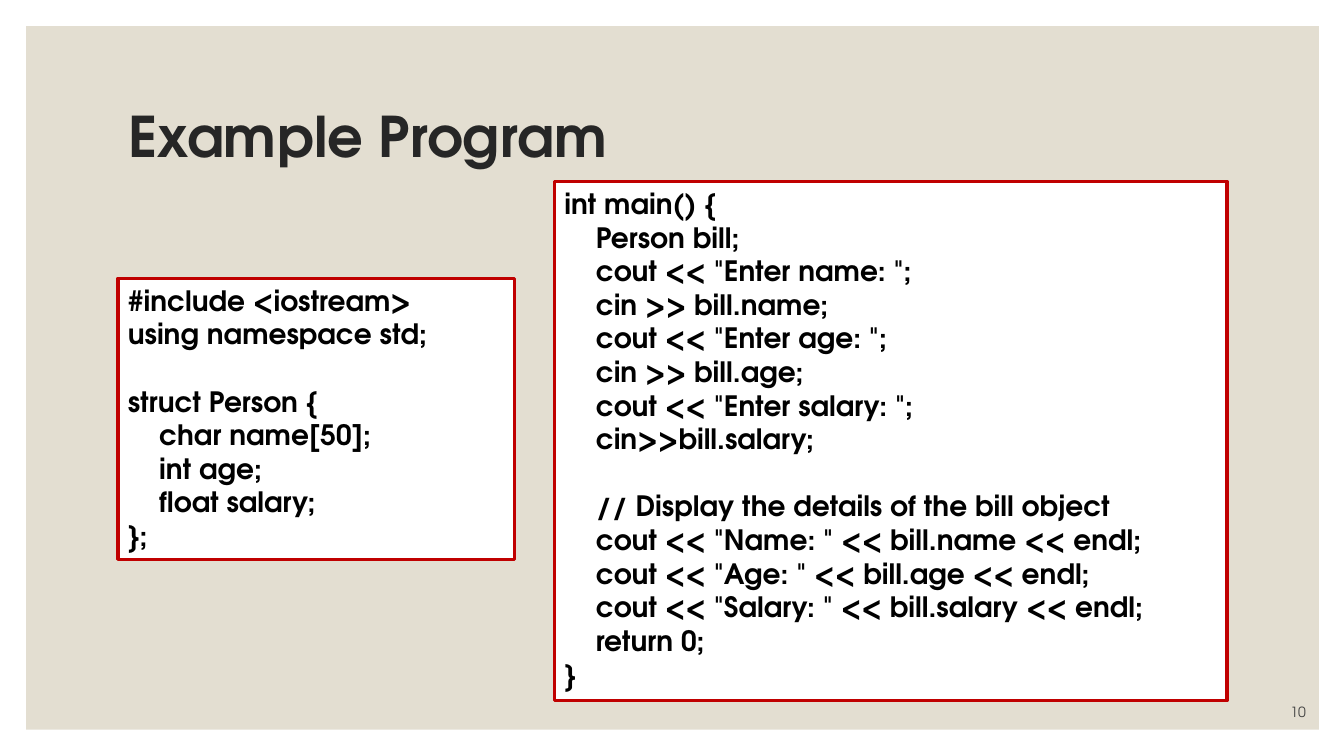
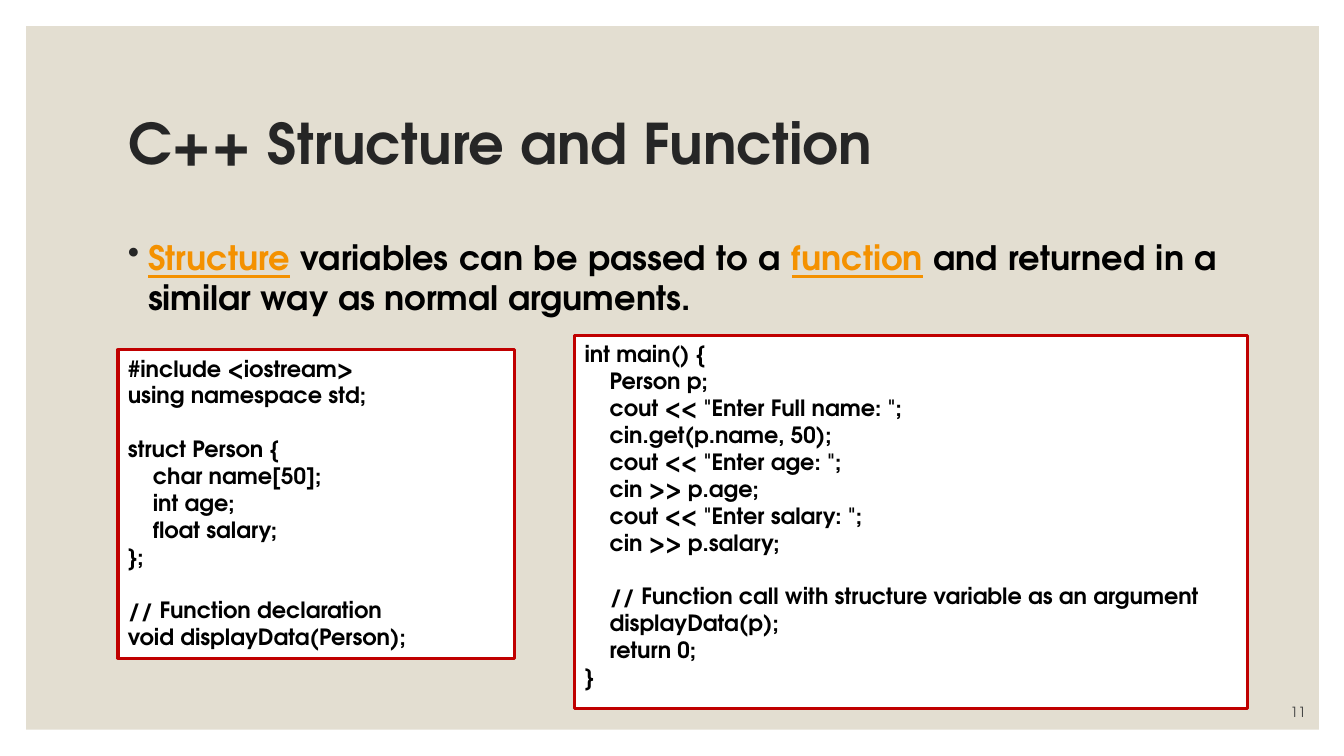
from lxml import etree
from pptx import Presentation
from pptx.dml.color import RGBColor
from pptx.enum.shapes import MSO_SHAPE
from pptx.enum.text import MSO_ANCHOR, MSO_AUTO_SIZE, PP_ALIGN
from pptx.oxml.ns import qn
from pptx.util import Pt

RECTANGLE = MSO_SHAPE.RECTANGLE
MIDDLE, BOTTOM = MSO_ANCHOR.MIDDLE, MSO_ANCHOR.BOTTOM
GROW = MSO_AUTO_SIZE.SHAPE_TO_FIT_TEXT
NO_FIT = MSO_AUTO_SIZE.NONE
LEFT, RIGHT, JUSTIFY = PP_ALIGN.LEFT, PP_ALIGN.RIGHT, PP_ALIGN.JUSTIFY

PX = 9144
FONT = "TeX Gyre Adventor"
WHITE = RGBColor(0xFF, 0xFF, 0xFF)
BLACK = RGBColor(0x00, 0x00, 0x00)
SAND = RGBColor(0xE3, 0xDE, 0xD1)
RED = RGBColor(0xC0, 0x00, 0x00)
ORANGE = RGBColor(0xF4, 0x91, 0x00)
CHARCOAL = RGBColor(0x26, 0x26, 0x26)
GRAY = RGBColor(0x40, 0x40, 0x40)

PERSON_CODE = """#include <iostream>
using namespace std;

struct Person {
    char name[50];
    int age;
    float salary;
};"""

DECLARATION_CODE = PERSON_CODE + """

// Function declaration
void displayData(Person);"""

BILL_CODE = """int main() {
    Person bill;
    cout << "Enter name: ";
    cin >> bill.name;
    cout << "Enter age: ";
    cin >> bill.age;
    cout << "Enter salary: ";
    cin>>bill.salary;

    // Display the details of the bill object
    cout << "Name: " << bill.name << endl;
    cout << "Age: " << bill.age << endl;
    cout << "Salary: " << bill.salary << endl;
    return 0;
}"""

CALL_CODE = """int main() {
    Person p;
    cout << "Enter Full name: ";
    cin.get(p.name, 50);
    cout << "Enter age: ";
    cin >> p.age;
    cout << "Enter salary: ";
    cin >> p.salary;

    // Function call with structure variable as an argument
    displayData(p);
    return 0;
}"""

BULLET_RUNS = [
    ("Structure", ORANGE, True),
    (" variables can be passed to a ", BLACK, False),
    ("function", ORANGE, True),
    (" and returned in a similar way as normal arguments.", BLACK, False),
]

SLIDES = [
    {
        "number": "10",
        "title": "Example Program",
        "title_top": 63,
        "bullet": [],
        "code_size": 20,
        "code_boxes": [
            ((117, 276, 393, 279), PERSON_CODE),
            ((550, 180, 667, 515), BILL_CODE),
        ],
    },
    {
        "number": "11",
        "title": "C++ Structure and Function",
        "title_top": 70,
        "bullet": BULLET_RUNS,
        "code_size": 16,
        "code_boxes": [
            ((117, 347, 393, 306), DECLARATION_CODE),
            ((570, 333, 667, 370), CALL_CODE),
        ],
    },
]


def add_run(paragraph, text, size, color, bold=True):
    run = paragraph.add_run()
    run.text = text
    run.font.name = FONT
    run.font.size = Pt(size)
    run.font.bold = bold
    run.font.color.rgb = color
    return run


def add_text_box(slide, box):
    shape = slide.shapes.add_textbox(*(length * PX for length in box))
    shape.text_frame.word_wrap = True
    return shape


presentation = Presentation()
presentation.slide_width = 1333 * PX
presentation.slide_height = 750 * PX
title_only = presentation.slide_layouts[5]

for index, content in enumerate(SLIDES):
    slide = presentation.slides.add_slide(title_only)

    if index == 0:
        panel = slide.shapes.add_shape(RECTANGLE, 26 * PX, 26 * PX, 1282 * PX, 698 * PX)
        panel.shadow.inherit = False
        panel.fill.solid()
        panel.fill.fore_color.rgb = SAND
        panel.line.fill.background()
        presentation.slide_master.shapes.element.insert(2, panel.element)

    title = slide.shapes.title
    title.left, title.top = 117 * PX, content["title_top"] * PX
    title.width, title.height = 1100 * PX, 150 * PX
    title.text_frame.vertical_anchor = MIDDLE
    title.text_frame.auto_size = NO_FIT
    paragraph = title.text_frame.paragraphs[0]
    paragraph.alignment = LEFT
    paragraph.line_spacing = 0.9
    add_run(paragraph, content["title"], 40, CHARCOAL)

    if content["bullet"]:
        body = add_text_box(slide, (117, 230, 1100, 430))
        paragraph = body.text_frame.paragraphs[0]
        paragraph.alignment = JUSTIFY
        properties = paragraph._p.get_or_add_pPr()
        properties.set("marL", str(20 * PX))
        properties.set("indent", str(-20 * PX))
        bullet_color = etree.SubElement(properties, qn("a:buClr"))
        etree.SubElement(bullet_color, qn("a:srgbClr"), val=str(CHARCOAL))
        etree.SubElement(properties, qn("a:buChar"), char="•")
        for text, color, underlined in content["bullet"]:
            run = add_run(paragraph, text, 24, color)
            run.font.underline = underlined

    size = content["code_size"]
    for box, code in content["code_boxes"]:
        code_box = add_text_box(slide, box)
        code_box.fill.solid()
        code_box.fill.fore_color.rgb = WHITE
        code_box.line.color.rgb = RED
        code_box.line.width = Pt(2.25)
        frame = code_box.text_frame
        frame.auto_size = GROW
        for row, line in enumerate(code.splitlines()):
            paragraph = frame.add_paragraph() if row else frame.paragraphs[0]
            if line:
                add_run(paragraph, line, size, BLACK)
            else:
                end = etree.SubElement(paragraph._p, qn("a:endParaRPr"), sz=str(size * 100), b="1")
                etree.SubElement(end, qn("a:latin"), typeface=FONT)

    number_box = add_text_box(slide, (1145, 690, 160, 30))
    number_box.text_frame.vertical_anchor = BOTTOM
    paragraph = number_box.text_frame.paragraphs[0]
    paragraph.alignment = RIGHT
    add_run(paragraph, content["number"], 10, GRAY, bold=False)

presentation.save("out.pptx")
